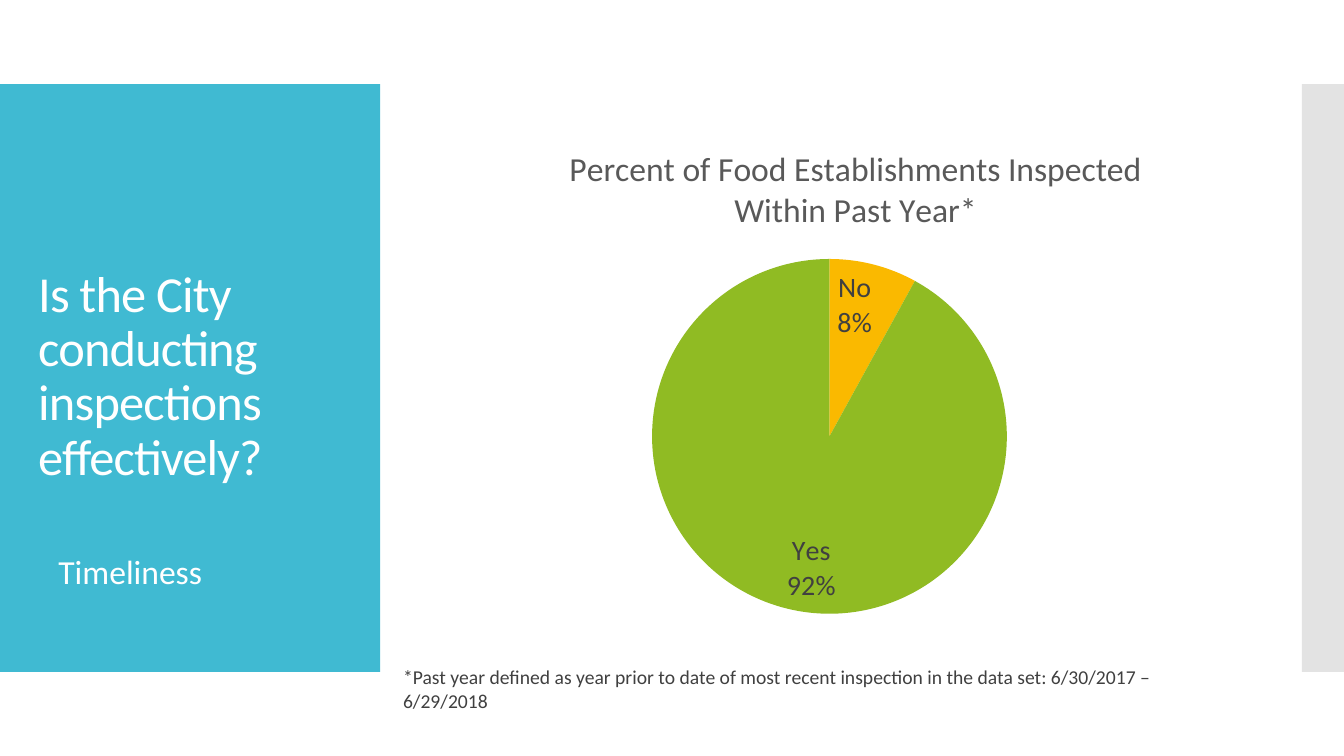
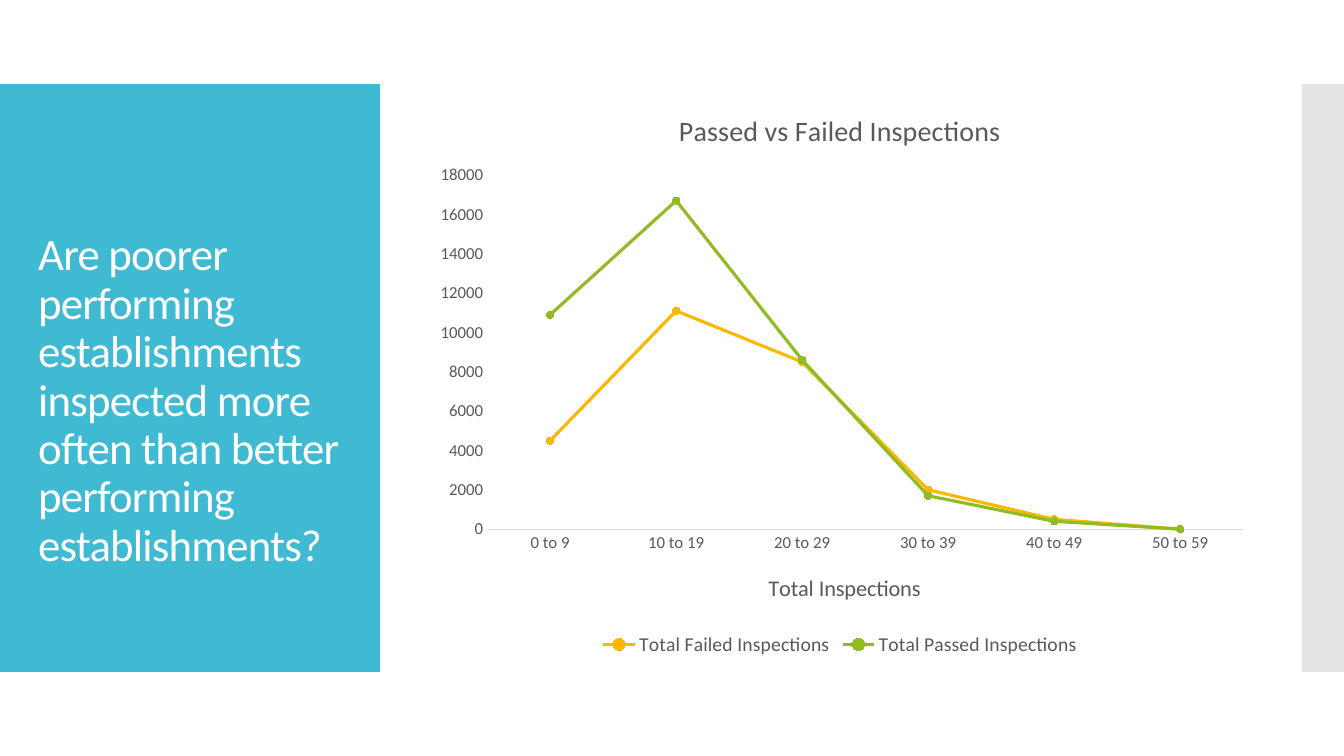
from dataclasses import dataclass
from typing import Any, Optional

from lxml.etree import SubElement
from pptx import Presentation
from pptx.chart.data import CategoryChartData
from pptx.dml.color import RGBColor
from pptx.enum.chart import XL_CHART_TYPE as CT
from pptx.enum.chart import XL_LABEL_POSITION as LP
from pptx.enum.chart import XL_LEGEND_POSITION, XL_MARKER_STYLE, XL_TICK_MARK
from pptx.enum.shapes import MSO_SHAPE
from pptx.enum.text import MSO_ANCHOR, MSO_AUTO_SIZE, PP_ALIGN
from pptx.oxml import parse_xml
from pptx.oxml.ns import nsdecls, qn
from pptx.util import Inches, Pt

TEAL = RGBColor(0x40, 0xBA, 0xD2)
SILVER = RGBColor(0xC8, 0xC8, 0xC8)
WHITE = RGBColor(0xFF, 0xFF, 0xFF)
AMBER = RGBColor(0xFA, 0xB9, 0x00)
GREEN = RGBColor(0x90, 0xBB, 0x23)
DARK = RGBColor(0x40, 0x40, 0x40)
GREY = RGBColor(0x59, 0x59, 0x59)
PALE = RGBColor(0xD9, 0xD9, 0xD9)
FONT = "Calibri"
WIDTH, HEIGHT = Inches(13.333), Inches(7.5)
COLS, ROWS = 32, 18


@dataclass(frozen=True)
class Box:
    """Place on the slide, in columns and rows of the grid."""

    col: float
    row: float
    cols: float
    rows: float

    def emu(self) -> tuple[int, int, int, int]:
        """Return left, top, width and height in EMU."""
        cw, rh = WIDTH / COLS, HEIGHT / ROWS
        return int(self.col * cw), int(self.row * rh), int(self.cols * cw), int(self.rows * rh)


@dataclass(frozen=True)
class Band:
    """Coloured band shared by all slides."""

    box: Box
    color: RGBColor
    opacity: int = 100


@dataclass(frozen=True)
class Line:
    """One series of the line chart."""

    name: str
    values: tuple[int, ...]
    color: RGBColor


BANDS = (
    Band(Box(0, 2, 9.05, 14), TEAL),
    Band(Box(31, 2, 1, 14), SILVER, 50),
)
TITLE_BOX = Box(0.67, 2.95, 7.73, 12.07)
TOPIC_BOX = Box(0.67, 12.05, 7.44, 3.22)
PIE_BOX = Box(10.15, 2.26, 19.2, 13.44)
NOTE_BOX = Box(9.36, 15.72, 20.4, 1.03)
LINE_BOX = Box(10, 2.13, 20, 13.6)

AGES = ("0 to 9", "10 to 19", "20 to 29", "30 to 39", "40 to 49", "50 to 59")
LINES = (
    Line("Total Failed Inspections", (4500, 11100, 8500, 2000, 500, 0), AMBER),
    Line("Total Passed Inspections", (10900, 16700, 8600, 1700, 400, 0), GREEN),
)


def style(font: Any, size: float, color: RGBColor) -> None:
    """Set typeface, size and colour of a font."""
    font.name, font.size, font.bold = FONT, Pt(size), False
    font.color.rgb = color


def add_run(p: Any, text: str, size: float, color: RGBColor) -> Any:
    """Add a styled run to a paragraph."""
    r = p.add_run()
    r.text = text
    style(r.font, size, color)
    return r


def put(s: Any, box: Box) -> None:
    """Move a shape to a grid box."""
    s.left, s.top, s.width, s.height = box.emu()


def add_bands(prs: Any, slide: Any) -> None:
    """Put the shared bands on the slide master."""
    for i, band in enumerate(BANDS):
        s = slide.shapes.add_shape(MSO_SHAPE.RECTANGLE, *band.box.emu())
        s.shadow.inherit = False
        s.fill.solid()
        s.fill.fore_color.rgb = band.color
        s.line.fill.background()
        if band.opacity < 100:
            color = s.element.spPr.find(qn("a:solidFill"))[0]
            SubElement(color, qn("a:alpha")).set("val", str(band.opacity * 1000))
        prs.slide_master.shapes.element.insert(2 + i, s.element)


def fill_placeholder(s: Any, box: Box, text: str, size: float) -> Any:
    """Place a placeholder and write white left-aligned text in it."""
    put(s, box)
    tf = s.text_frame
    tf.word_wrap, tf.auto_size = True, MSO_AUTO_SIZE.NONE
    tf.vertical_anchor = MSO_ANCHOR.MIDDLE
    p = tf.paragraphs[0]
    p.alignment, p.line_spacing, p.space_before = PP_ALIGN.LEFT, 0.9, Pt(0)
    return add_run(p, text, size, WHITE)


def set_title(slide: Any, text: str, size: float, drop: float = 0) -> None:
    """Write the slide title, lowered by drop inches of inset."""
    s = slide.shapes.title
    r = fill_placeholder(s, TITLE_BOX, text, size)
    r._r.get_or_add_rPr().set("spc", "-60")
    s.text_frame.margin_top = Inches(0.05 + drop)


def set_layout(el: Any, index: int, x: float, y: float,
               size: Optional[tuple[float, float]] = None) -> None:
    """Give a chart part a manual place, in shares of the chart."""
    for old in el.findall(qn("c:layout")):
        el.remove(old)
    layout = parse_xml(f"<c:layout {nsdecls('c')}><c:manualLayout/></c:layout>")
    parts = [("xMode", "edge"), ("yMode", "edge"), ("x", x), ("y", y)]
    if size:
        parts = [("layoutTarget", "inner"), *parts, ("w", size[0]), ("h", size[1])]
    for tag, val in parts:
        SubElement(layout[0], qn(f"c:{tag}")).set("val", str(val))
    el.insert(index, layout)


def add_chart(slide: Any, kind: CT, box: Box, data: CategoryChartData,
              title: str, size: float) -> Any:
    """Add a chart with a styled title."""
    chart = slide.shapes.add_chart(kind, *box.emu(), data).chart
    style(chart.font, 10, GREY)
    chart.has_legend = False
    chart.has_title = True
    add_run(chart.chart_title.text_frame.paragraphs[0], title, size, GREY)
    return chart


def plot_area(chart: Any) -> Any:
    """Return the plot area element of a chart."""
    return chart.element.find(f".//{qn('c:plotArea')}")


def add_pie(slide: Any) -> None:
    """Draw the share of establishments inspected."""
    data = CategoryChartData(number_format="General")
    data.categories = ("No", "Yes")
    data.add_series("Series 1", (8, 92))
    chart = add_chart(slide, CT.PIE, PIE_BOX, data,
                      "Percent of Food Establishments Inspected Within Past Year*", 24)
    set_layout(chart.chart_title.element, 1, 0.17, 0.08)
    set_layout(plot_area(chart), 0, 0.28, 0.24, (0.44, 0.73))
    plot = chart.plots[0]
    for i, color in enumerate((AMBER, GREEN)):
        fill = plot.series[0].points[i].format.fill
        fill.solid()
        fill.fore_color.rgb = color
    plot.has_data_labels = True
    labels = plot.data_labels
    labels.show_value = False
    labels.show_percentage = labels.show_category_name = True
    labels.number_format, labels.number_format_is_linked = "0%", False
    labels.position = LP.INSIDE_END
    style(labels.font, 20, DARK)


def add_lines(slide: Any) -> None:
    """Draw passed against failed inspections."""
    data = CategoryChartData(number_format="General")
    data.categories = AGES
    for line in LINES:
        data.add_series(line.name, line.values)
    chart = add_chart(slide, CT.LINE_MARKERS, LINE_BOX, data,
                      "Passed vs Failed Inspections", 20)
    set_layout(plot_area(chart), 0, 0.08, 0.15, (0.9, 0.62))
    chart.plots[0].vary_by_categories = False
    for line, series in zip(LINES, chart.plots[0].series):
        series.smooth = False
        series.format.line.color.rgb = line.color
        series.format.line.width = Pt(2.25)
        marker = series.marker
        marker.style, marker.size = XL_MARKER_STYLE.CIRCLE, 5
        marker.format.fill.solid()
        marker.format.fill.fore_color.rgb = line.color
        marker.format.line.color.rgb = line.color

    cat, val = chart.category_axis, chart.value_axis
    for axis in (cat, val):
        axis.major_tick_mark = axis.minor_tick_mark = XL_TICK_MARK.NONE
        axis.has_major_gridlines = False
        style(axis.tick_labels.font, 12, GREY)
    cat.format.line.color.rgb = PALE
    cat.format.line.width = Pt(0.75)
    add_run(cat.axis_title.text_frame.paragraphs[0], "Total Inspections", 16, GREY)
    set_layout(cat.axis_title.element, 1, 0.41, 0.84)
    val.format.line.fill.background()
    val.minimum_scale, val.maximum_scale, val.major_unit = 0, 18000, 2000

    chart.has_legend = True
    chart.legend.position = XL_LEGEND_POSITION.BOTTOM
    chart.legend.include_in_layout = False
    style(chart.legend.font, 14, GREY)


def add_note(slide: Any, text: str) -> None:
    """Write the footnote under the chart."""
    tf = slide.shapes.add_textbox(*NOTE_BOX.emu()).text_frame
    tf.word_wrap = False
    add_run(tf.paragraphs[0], text, 14, DARK)


def build_timeliness(prs: Any) -> None:
    """Build the slide on timeliness of inspections."""
    slide = prs.slides.add_slide(prs.slide_layouts[1])
    add_bands(prs, slide)
    add_pie(slide)
    add_note(slide, "*Past year defined as year prior to date of most recent inspection "
                    "in the data set: 6/30/2017 – 6/29/2018")
    set_title(slide, "Is the City conducting inspections effectively?", 36)
    body = slide.placeholders[1]
    fill_placeholder(body, TOPIC_BOX, "Timeliness", 24)
    pPr = body.text_frame.paragraphs[0]._p.get_or_add_pPr()
    pPr.set("marL", str(Inches(0.2)))
    pPr.set("indent", "0")
    SubElement(pPr, qn("a:buNone"))


def build_performance(prs: Any) -> None:
    """Build the slide on poorer and better performers."""
    slide = prs.slides.add_slide(prs.slide_layouts[5])
    set_title(slide, "Are poorer performing establishments inspected more often "
                     "than better performing establishments?", 32, drop=0.48)
    add_lines(slide)


def main() -> None:
    """Build and save the presentation."""
    prs = Presentation()
    prs.slide_width, prs.slide_height = WIDTH, HEIGHT
    build_timeliness(prs)
    build_performance(prs)
    prs.save("out.pptx")


main()
